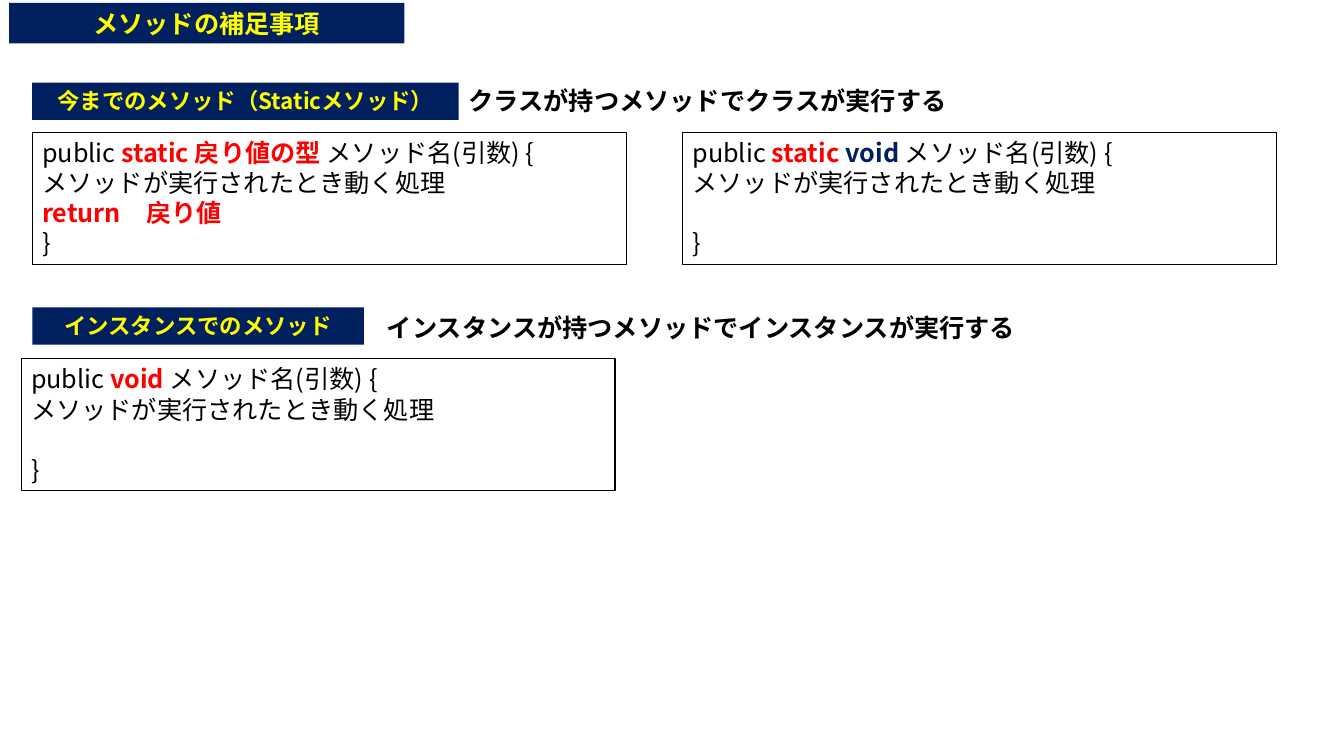
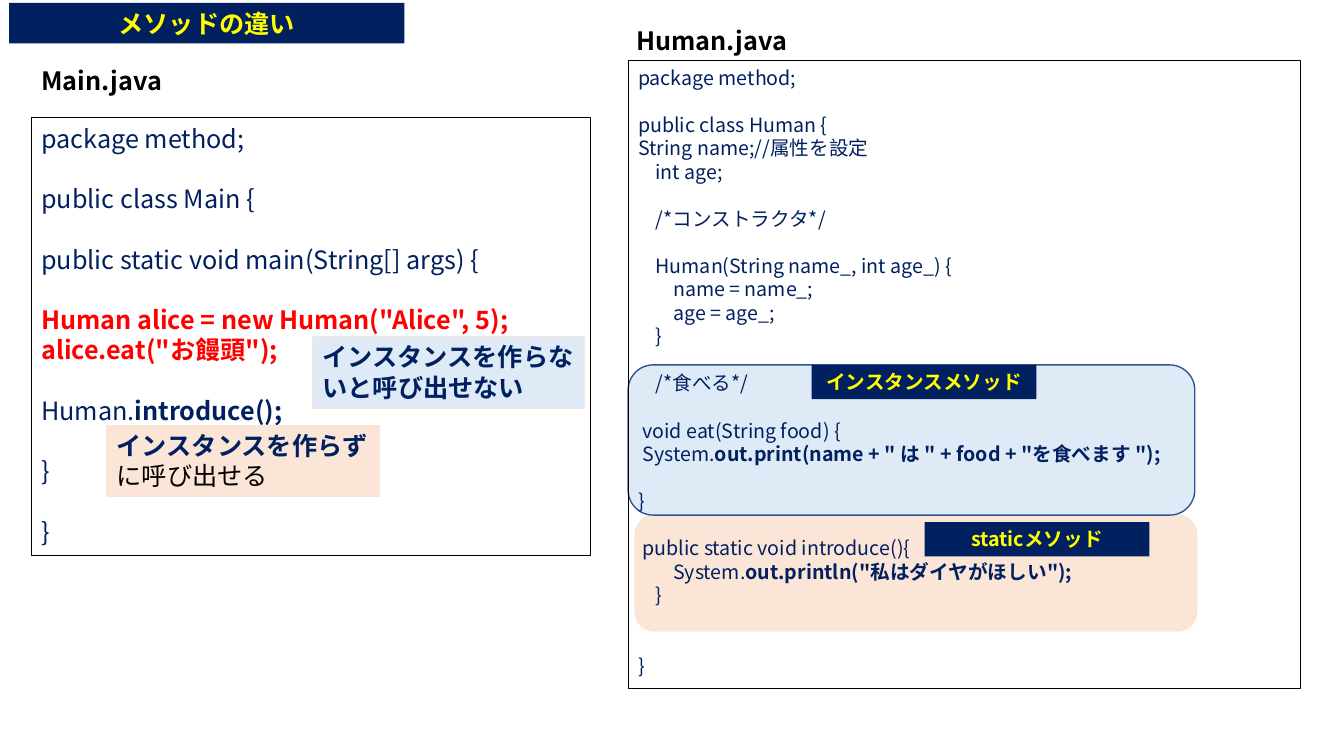
import pptx
import pptx.util
import pptx.dml.color
import pptx.enum.shapes
import pptx.enum.text
import pptx.oxml.ns
import lxml.etree

Inches = pptx.util.Inches
SHAPES = pptx.enum.shapes.MSO_SHAPE
FONT = "Noto Sans CJK JP"
NAVY, YELLOW, RED, BLACK = "002060", "FFFF00", "FF0000", "000000"
PEACH, PALE_BLUE, BLUE = "FBE5D6", "DEEBF7", "325491"
TITLE_AT = (0.09, 0.03, 3.92, 0.4)
SYNTAX_SIZE = (5.89, 1.31)
CALLOUT_SIZE = (2.7, 0.71)
TAG_SIZE = (2.23, 0.34)

BODY = "メソッドが実行されたとき動く処理"
SIGNATURE = "メソッド名(引数) {"

SUPPLEMENT = {
    "title": "メソッドの補足事項",
    "tags": [
        ((0.32, 0.82, 4.23, 0.37), "今までのメソッド（Staticメソッド）", 16),
        ((0.32, 3.05, 3.29, 0.37), "インスタンスでのメソッド", 16),
    ],
    "headings": [
        ((4.55, 0.8, 6.57, 0.4), "クラスが持つメソッドでクラスが実行する"),
        ((3.74, 3.05, 6.57, 0.4), "インスタンスが持つメソッドでインスタンスが実行する"),
    ],
    "code": [
        ((0.32, 1.31, *SYNTAX_SIZE), 18, BLACK, [
            ["public ", ("static 戻り値の型 ", RED, True), SIGNATURE],
            [BODY], [("return\u3000戻り値".replace("\u3000", "　"), RED, True)], ["}"]]),
        ((6.77, 1.31, *SYNTAX_SIZE), 18, BLACK, [
            ["public ", ("static ", RED, True), ("void ", NAVY, True), SIGNATURE],
            [BODY], [], ["}"]]),
        ((0.21, 3.56, *SYNTAX_SIZE), 18, BLACK, [
            ["public ", ("void ", RED, True), SIGNATURE],
            [BODY], [], ["}"]]),
    ],
    "regions": [],
    "callouts": [],
}

DIFFERENCE = {
    "title": "メソッドの違い",
    "regions": [
        ((6.3, 5.11, 5.57, 1.15), PEACH, PEACH),
        ((6.23, 3.62, 5.62, 1.49), PALE_BLUE, BLUE),
    ],
    "headings": [
        ((0.31, 0.6, 2.39, 0.4), "Main.java"),
        ((6.21, 0.2, 2.39, 0.4), "Human.java"),
    ],
    "code": [
        ((0.31, 1.17, 5.55, 4.34), 18, NAVY, [
            ["package method;"],
            [],
            ["public class Main {"],
            [],
            ["public static void main(String[] args) {"],
            [],
            [('Human alice = new Human("Alice", 5);', RED, True)],
            [('alice.eat("お饅頭");', RED, True)],
            [],
            ["Human.", ("introduce();", NAVY, True)],
            [],
            ["}"],
            [],
            ["}"]]),
        ((6.23, 0.6, 6.67, 6.23), 14, NAVY, [
            ["package method;"],
            [],
            ["public class Human {"],
            ["String name;//属性を設定"],
            ["    int age;"],
            [],
            ["    /*コンストラクタ*/"],
            [],
            ["    Human(String name_, int age_) {"],
            ["        name = name_;"],
            ["        age = age_;"],
            ["    }"],
            [],
            ["    /*食べる*/"],
            [],
            [" void eat(String food) {"],
            [" System.", ('out.print(name + " は " + food + "を食べます ");', NAVY, True)],
            [],
            ["}"],
            [],
            [" public static void introduce(){"],
            ["        System.", ('out.println("私はダイヤがほしい");', NAVY, True)],
            ["    }"],
            [],
            [],
            ["}"]]),
    ],
    "tags": [
        ((8.05, 3.62, *TAG_SIZE), "インスタンスメソッド", 14),
        ((9.17, 5.18, *TAG_SIZE), "staticメソッド", 14),
    ],
    "callouts": [
        ((1.06, 4.22, *CALLOUT_SIZE), PEACH,
         [("インスタンスを作らず", NAVY, True), "に呼び出せる"]),
        ((3.1, 3.34, *CALLOUT_SIZE), PALE_BLUE,
         [("インスタンスを作らないと呼び出せない", NAVY, True)]),
    ],
}


def rgb(value):
    return pptx.dml.color.RGBColor.from_string(value)


def add_run(paragraph, text, size, color, bold):
    run = paragraph.add_run()
    run.text = text
    run.font.size = pptx.util.Pt(size)
    run.font.bold = bold
    run.font.color.rgb = rgb(color)
    run.font.name = FONT
    east_asian = lxml.etree.SubElement(run.font._element, pptx.oxml.ns.qn("a:ea"))
    east_asian.set("typeface", FONT)


def write(shape, lines, size, color, centered=False):
    frame = shape.text_frame
    frame.word_wrap = True
    frame.vertical_anchor = pptx.enum.text.MSO_ANCHOR.TOP
    if not centered:
        frame.margin_right = Inches(0.05)
    align = pptx.enum.text.PP_ALIGN
    for index, parts in enumerate(lines):
        paragraph = frame.paragraphs[0] if index == 0 else frame.add_paragraph()
        paragraph.alignment = align.CENTER if centered else align.LEFT
        paragraph.line_spacing = pptx.util.Pt(size * 1.2)
        paragraph.font.size = pptx.util.Pt(size)
        for part in parts:
            text, part_color, bold = (part, color, False) if isinstance(part, str) else part
            add_run(paragraph, text, size, part_color, bold)


def add_box(slide, at, fill=None, line=None, width=0.75, kind=SHAPES.RECTANGLE):
    box = slide.shapes.add_shape(kind, *map(Inches, at))
    box.shadow.inherit = False
    if fill:
        box.fill.solid()
        box.fill.fore_color.rgb = rgb(fill)
    else:
        box.fill.background()
    if line:
        box.line.color.rgb = rgb(line)
        box.line.width = pptx.util.Pt(width)
    else:
        box.line.fill.background()
    return box


def add_tag(slide, at, text, size):
    write(add_box(slide, at, NAVY), [[(text, YELLOW, True)]], size, YELLOW, centered=True)


def build_slide(deck, content):
    slide = deck.slides.add_slide(deck.slide_layouts[6])
    for at, fill, line in content["regions"]:
        add_box(slide, at, fill, line, 1, SHAPES.ROUNDED_RECTANGLE)
    add_tag(slide, TITLE_AT, content["title"], 18)
    for at, size, color, lines in content["code"]:
        write(add_box(slide, at, line=BLACK), lines, size, color)
    for at, text in content["headings"]:
        heading = slide.shapes.add_textbox(*map(Inches, at))
        write(heading, [[(text, BLACK, True)]], 18, BLACK)
    for tag in content["tags"]:
        add_tag(slide, *tag)
    for at, fill, parts in content["callouts"]:
        write(add_box(slide, at, fill, PEACH), [parts], 18, BLACK)


def main():
    deck = pptx.Presentation()
    deck.slide_width, deck.slide_height = Inches(13.33), Inches(7.5)
    for content in (SUPPLEMENT, DIFFERENCE):
        build_slide(deck, content)
    deck.save("out.pptx")


if __name__ == "__main__":
    main()
